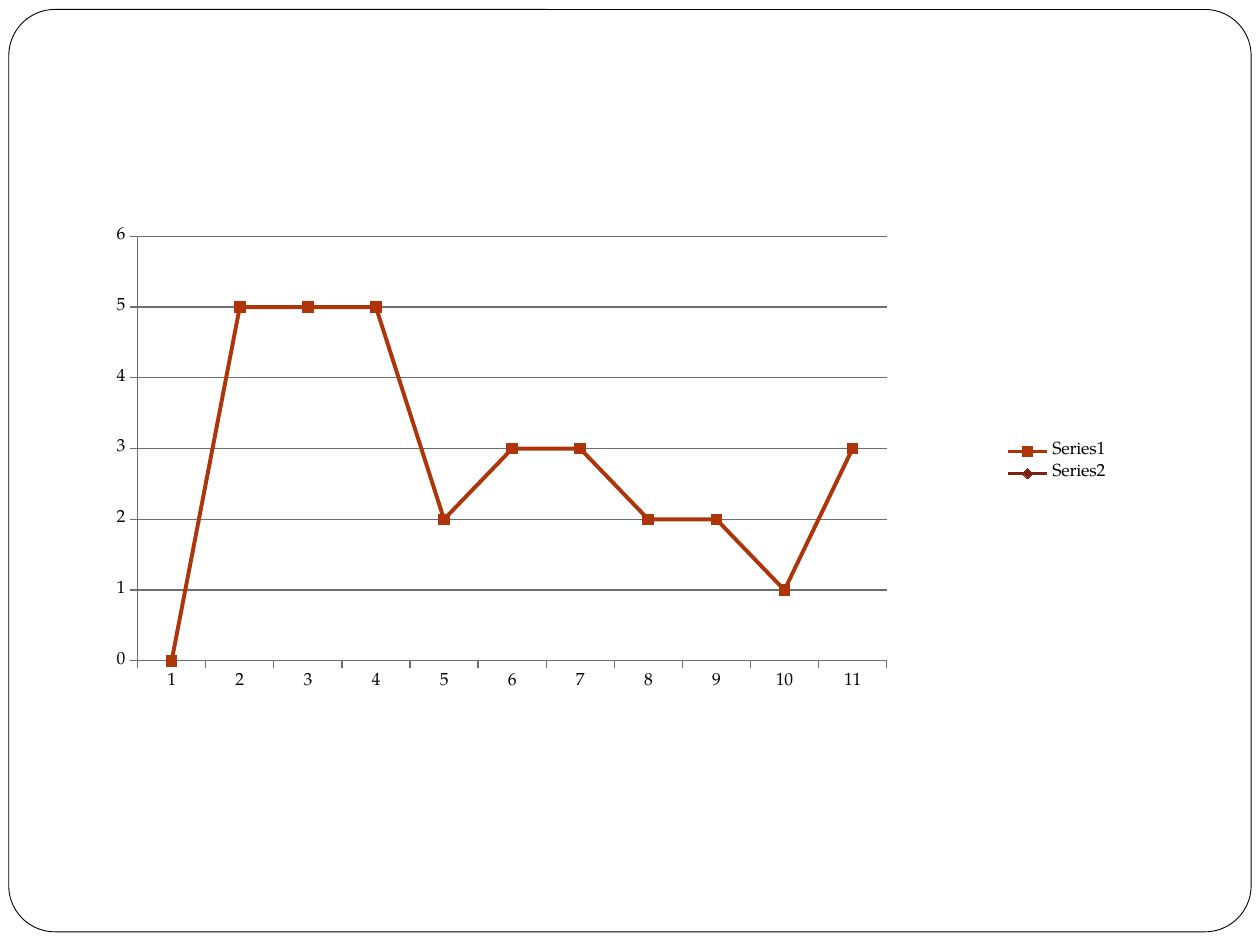
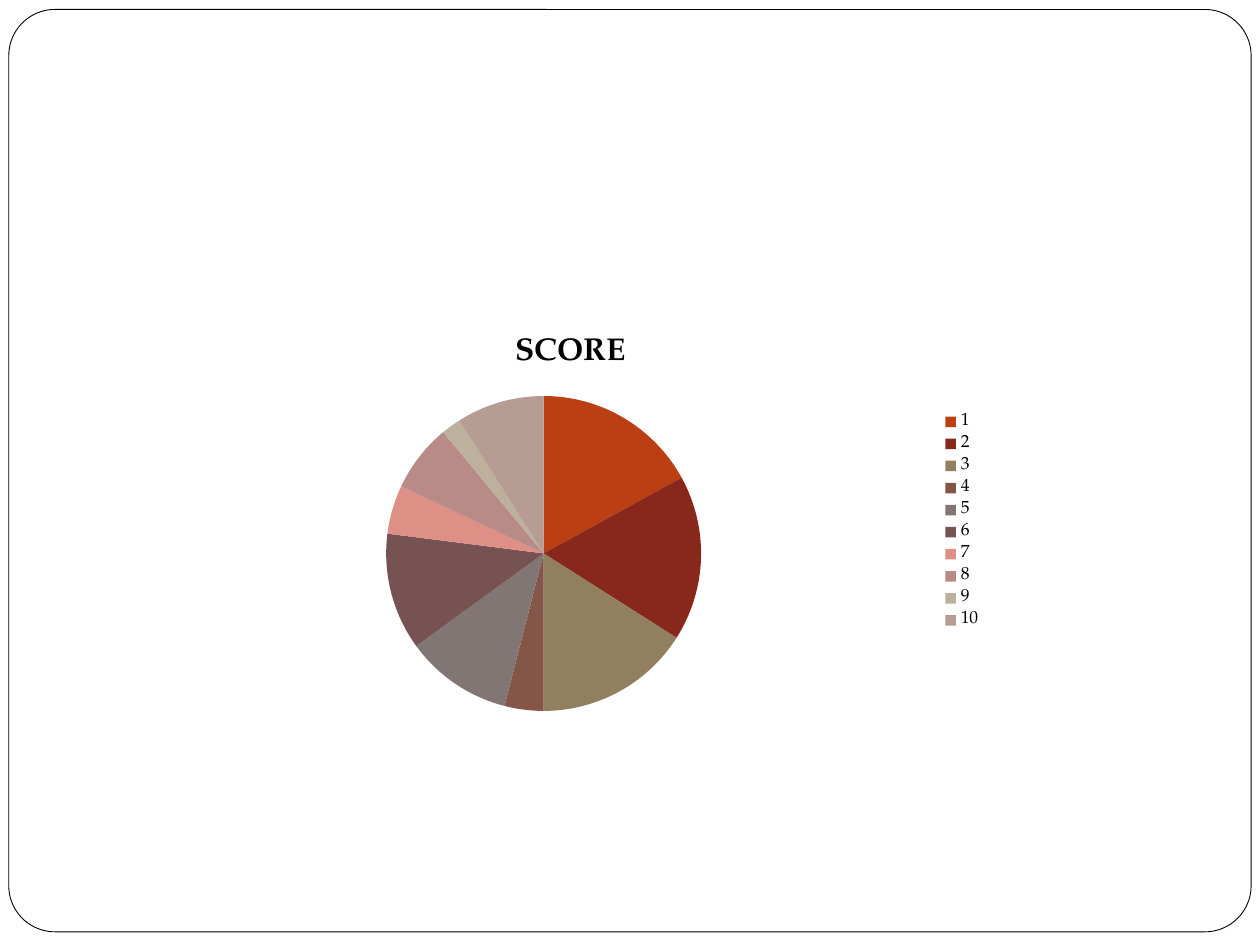
"""Build two framed chart slides: a line chart and a score pie chart."""
import pptx
import pptx.chart.data
import pptx.dml.color
import pptx.enum.chart
import pptx.enum.shapes
import pptx.oxml
import pptx.oxml.ns
import pptx.util

FONT = "TeX Gyre Pagella"
COLORS = {
    "white": "FFFFFF", "black": "000000", "axis": "6E6E6E",
    "line_one": "AE340A", "line_two": "7D2015",
}
SLICES = {
    "1": (17, "BB3F13"), "2": (17, "88281C"), "3": (16, "917F5F"),
    "4": (4, "835647"), "5": (11, "827675"), "6": (12, "775252"),
    "7": (5, "DE9087"), "8": (7, "B98B86"), "9": (2, "BDB09D"),
    "10": (9, "B69C93"),
}
LINES = {
    "Series1": ([0, 5, 5, 5, 2, 3, 3, 2, 2, 1, 3], "line_one", "SQUARE"),
    "Series2": ([None] * 11, "line_two", "DIAMOND"),
}
rgb = pptx.dml.color.RGBColor.from_string
chart_enum = pptx.enum.chart


def write_text(text_frame, text, size=10, bold=False, color="black"):
    text_frame.text = text
    font = text_frame.paragraphs[0].runs[0].font
    font.name, font.size, font.bold = FONT, pptx.util.Pt(size), bold
    font.color.rgb = rgb(COLORS[color])


def add_chart(slide, kind, data, shares, plot_shares):
    left, top, width, height = shares
    chart = slide.shapes.add_chart(
        kind, int(left * slide_width), int(top * slide_height),
        int(width * slide_width), int(height * slide_height), data).chart
    chart.font.name, chart.font.size = FONT, pptx.util.Pt(10)
    chart.font.color.rgb = rgb(COLORS["black"])
    chart.has_title = False
    chart.has_legend = True
    chart.legend.position = chart_enum.XL_LEGEND_POSITION.RIGHT
    chart.legend.include_in_layout = False
    plot_area = chart.plots[0]._element.getparent()
    for layout in plot_area.findall(pptx.oxml.ns.qn("c:layout")):
        plot_area.remove(layout)
    settings = "".join(f'<c:{edge}Mode val="edge"/>' for edge in "xy")
    settings += "".join(
        f'<c:{side} val="{share}"/>' for side, share in zip("xywh", plot_shares))
    plot_area.insert(0, pptx.oxml.parse_xml(
        f'<c:layout {pptx.oxml.ns.nsdecls("c")}><c:manualLayout>'
        f'<c:layoutTarget val="inner"/>{settings}</c:manualLayout></c:layout>'))
    return chart


presentation = pptx.Presentation()
presentation.slide_width = slide_width = pptx.util.Inches(10)
presentation.slide_height = slide_height = pptx.util.Inches(7.5)

slides = []
for number in range(2):
    slide = presentation.slides.add_slide(presentation.slide_layouts[6])
    frame = slide.shapes.add_shape(
        pptx.enum.shapes.MSO_SHAPE.ROUNDED_RECTANGLE,
        int(slide_width * 0.007), int(slide_height * 0.01),
        int(slide_width * 0.986), int(slide_height * 0.976))
    frame.adjustments[0] = 0.05
    frame.shadow.inherit = False
    frame.fill.solid()
    frame.fill.fore_color.rgb = rgb(COLORS["white"])
    frame.line.color.rgb = rgb(COLORS["black"])
    frame.line.width = pptx.util.Pt(0.5)
    slides.append(slide)
line_slide, pie_slide = slides

line_data = pptx.chart.data.CategoryChartData()
line_data.categories = [str(number) for number in range(1, 12)]
for name, (values, color, marker) in LINES.items():
    line_data.add_series(name, values)
line_chart = add_chart(
    line_slide, chart_enum.XL_CHART_TYPE.LINE_MARKERS, line_data,
    (0.062, 0.208, 0.828, 0.563), (0.057, 0.075, 0.718, 0.798))
for series, (values, color, marker) in zip(line_chart.plots[0].series, LINES.values()):
    series.smooth = False
    series.format.line.color.rgb = rgb(COLORS[color])
    series.format.line.width = pptx.util.Pt(2.25)
    series.marker.style = chart_enum.XL_MARKER_STYLE[marker]
    series.marker.size = 6
    series.marker.format.fill.solid()
    series.marker.format.fill.fore_color.rgb = rgb(COLORS[color])
    series.marker.format.line.color.rgb = rgb(COLORS[color])

value_axis = line_chart.value_axis
value_axis.minimum_scale, value_axis.maximum_scale, value_axis.major_unit = 0, 6, 1
value_axis.has_major_gridlines = True
for axis in (value_axis, line_chart.category_axis):
    axis.major_tick_mark = chart_enum.XL_TICK_MARK.OUTSIDE
    axis.minor_tick_mark = chart_enum.XL_TICK_MARK.NONE
for ruled in (value_axis, line_chart.category_axis, value_axis.major_gridlines):
    ruled.format.line.color.rgb = rgb(COLORS["axis"])
    ruled.format.line.width = pptx.util.Pt(0.75)

pie_data = pptx.chart.data.CategoryChartData()
pie_data.categories = list(SLICES)
pie_data.add_series("SCORE", [value for value, color in SLICES.values()])
pie_chart = add_chart(
    pie_slide, chart_enum.XL_CHART_TYPE.PIE, pie_data,
    (0.117, 0.332, 0.672, 0.439), (0.282, 0.198, 0.372, 0.76))
pie_chart.has_title = True
write_text(pie_chart.chart_title.text_frame, "SCORE", size=18, bold=True)
pie_chart.plots[0].vary_by_categories = True
for index, (value, color) in enumerate(SLICES.values()):
    fill = pie_chart.plots[0].series[0].points[index].format.fill
    fill.solid()
    fill.fore_color.rgb = rgb(color)

presentation.save("out.pptx")
